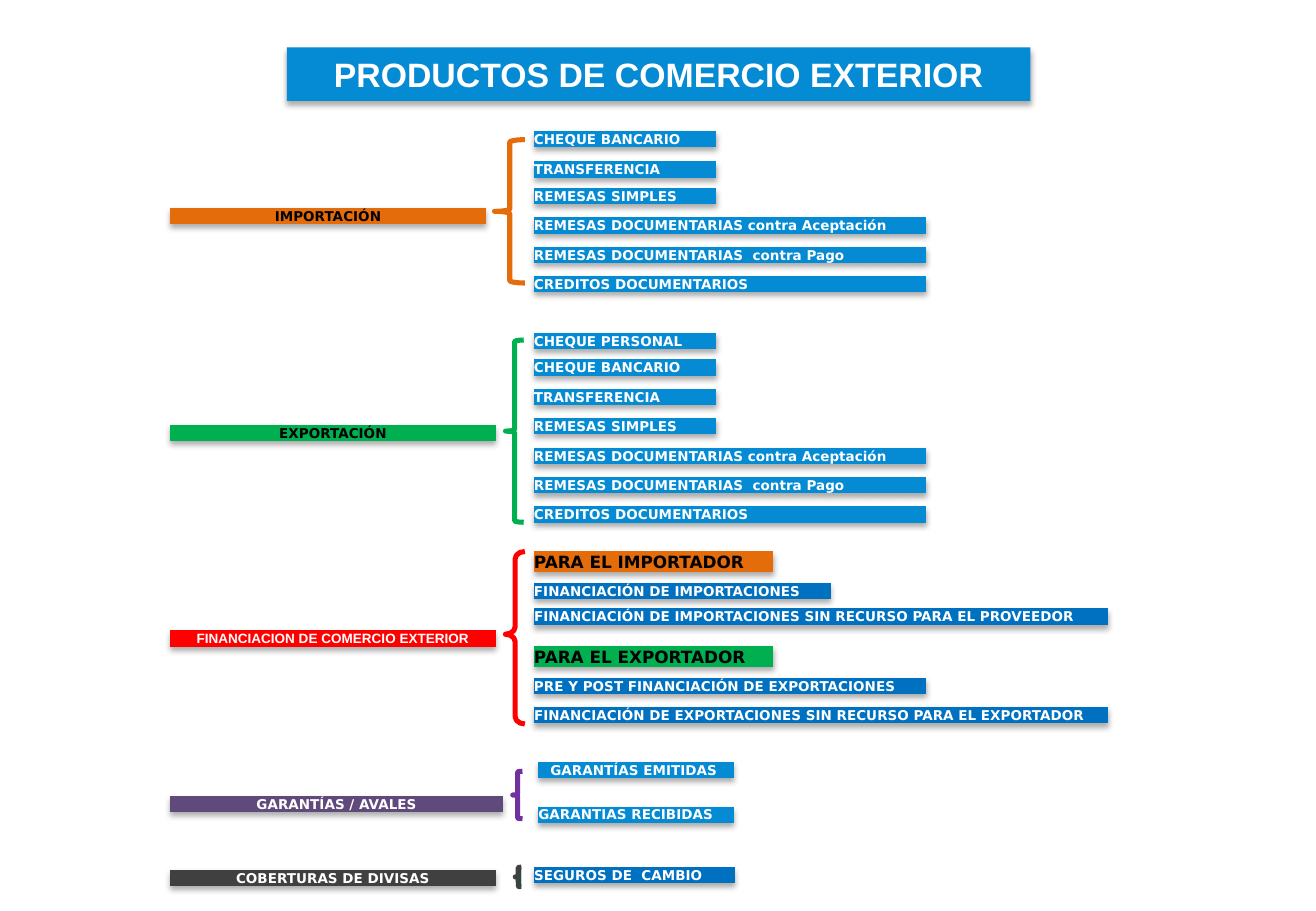
from lxml import etree
from pptx import Presentation, util as u
from pptx.dml.color import RGBColor
from pptx.enum import shapes, text
from pptx.oxml.ns import qn

BLUE, DEEP_BLUE, ORANGE, GREEN = "058AD4", "0070C0", "E46C0A", "00B050"
RED, PURPLE, VIOLET, GREY = "FF0000", "7030A0", "604A7B", "404040"
WHITE, BLACK = "FFFFFF", "000000"
LEFT, CENTER = text.PP_ALIGN.LEFT, text.PP_ALIGN.CENTER
SANS, ARIAL = "DejaVu Sans", "Arial"


def rgb(value):
    return RGBColor.from_string(value)


class ProductMap:
    """Draws on a grid whose columns and rows are a tenth of an inch."""
    CELL = u.Inches(0.1)
    BAR_HEIGHT = 1.33

    def __init__(self, slide):
        self.slide = slide

    def place(self, kind, box):
        shape = self.slide.shapes.add_shape(kind, *(round(n * self.CELL) for n in box))
        shape.shadow.inherit = False
        return shape

    def cast_shadow(self, shape):
        effects = shape._element.spPr.find(qn("a:effectLst"))
        outer = etree.SubElement(effects, qn("a:outerShdw"), blurRad=str(u.Pt(3.5)),
                                 dist=str(u.Pt(2.2)), dir="5400000", rotWithShape="0")
        tint = etree.SubElement(outer, qn("a:srgbClr"), val=BLACK)
        etree.SubElement(tint, qn("a:alpha"), val="32000")

    def label(self, shape, words, size, color, align, font):
        frame = shape.text_frame
        frame.text = words
        frame.word_wrap = True
        frame.auto_size = text.MSO_AUTO_SIZE.SHAPE_TO_FIT_TEXT
        line = frame.paragraphs[0]
        line.alignment = align
        for run in line.runs:
            run.font.name, run.font.size, run.font.bold = font, u.Pt(size), True
            run.font.color.rgb = rgb(color)

    def panel(self, kind, words, box, fill, size, color, align, font):
        shape = self.place(kind, box)
        shape.fill.solid()
        shape.fill.fore_color.rgb = rgb(fill)
        shape.line.fill.background()
        self.cast_shadow(shape)
        self.label(shape, words, size, color, align, font)
        return shape.text_frame

    def title(self, words, box):
        frame = self.panel(shapes.MSO_SHAPE.RECTANGLE, words, box, BLUE, 20, WHITE, CENTER, ARIAL)
        frame.vertical_anchor = text.MSO_ANCHOR.TOP

    def bar(self, words, left, top, width, fill, color=WHITE, align=LEFT, size=8,
            height=BAR_HEIGHT, font=SANS):
        frame = self.panel(shapes.MSO_SHAPE.ACTION_BUTTON_CUSTOM, words,
                           (left, top, width, height), fill, size, color, align, font)
        frame.margin_left = frame.margin_right = frame.margin_top = frame.margin_bottom = 0
        frame.vertical_anchor = text.MSO_ANCHOR.MIDDLE

    def category(self, words, top, width, fill, color=WHITE, font=SANS):
        self.bar(words, 14, top, width, fill, color, CENTER, font=font)

    def brace(self, box, color, fill=None, bends=()):
        shape = self.place(shapes.MSO_SHAPE.LEFT_BRACE, box)
        if fill:
            shape.fill.solid()
            shape.fill.fore_color.rgb = rgb(fill)
        else:
            shape.fill.background()
        shape.line.color.rgb = rgb(color)
        shape.line.width = u.Pt(3)
        for index, bend in enumerate(bends):
            shape.adjustments[index] = bend

    def products(self, items, tops, fill, left=43.95):
        for (words, width), top in zip(items, tops):
            self.bar(words, left, top, width, fill)


def main():
    deck = Presentation()
    deck.slide_width, deck.slide_height = u.Inches(10.83), u.Inches(7.5)
    page = ProductMap(deck.slides.add_slide(deck.slide_layouts[6]))

    page.title("PRODUCTOS DE COMERCIO EXTERIOR", (23.6, 3.9, 61.2, 4.4))

    # Products shared by imports and exports
    trade_products = [
        ("CHEQUE BANCARIO", 15), ("TRANSFERENCIA", 15), ("REMESAS SIMPLES", 15),
        ("REMESAS DOCUMENTARIAS contra Aceptación", 32.3),
        ("REMESAS DOCUMENTARIAS  contra Pago", 32.3),
        ("CREDITOS DOCUMENTARIOS", 32.3),
    ]

    # Imports
    page.category("IMPORTACIÓN", 17.1, 26, ORANGE, BLACK)
    page.brace((40.7, 11.5, 2.5, 11.8), ORANGE)
    page.products(trade_products, (10.8, 13.3, 15.5, 17.9, 20.3, 22.7), BLUE)

    # Exports
    page.category("EXPORTACIÓN", 35, 26.8, GREEN, BLACK)
    page.brace((41.6, 28, 1.5, 15), GREEN)
    page.products([("CHEQUE PERSONAL", 15)] + trade_products,
                  (27.4, 29.6, 32, 34.4, 36.9, 39.3, 41.7), BLUE)

    # Trade finance
    page.category("FINANCIACION DE COMERCIO EXTERIOR", 51.9, 26.8, RED, font=ARIAL)
    page.brace((41.6, 45.4, 1.6, 14.2), RED, bends=(0.38, 0.48))
    finance = [
        ("PARA EL IMPORTADOR", 45.4, ORANGE, (48, 50.1), [
            ("FINANCIACIÓN DE IMPORTACIONES", 24.4),
            ("FINANCIACIÓN DE IMPORTACIONES SIN RECURSO PARA EL PROVEEDOR", 47.2)]),
        ("PARA EL EXPORTADOR", 53.2, GREEN, (55.8, 58.2), [
            ("PRE Y POST FINANCIACIÓN DE EXPORTACIONES", 32.3),
            ("FINANCIACIÓN DE EXPORTACIONES SIN RECURSO PARA EL EXPORTADOR", 47.2)]),
    ]
    for client, client_top, fill, tops, loans in finance:
        page.bar(client, 43.95, client_top, 19.7, fill, BLACK, size=10, height=1.7)
        page.products(loans, tops, DEEP_BLUE)

    # Guarantees
    page.category("GARANTÍAS / AVALES", 65.5, 27.4, VIOLET)
    page.brace((42.2, 63.5, 0.8, 3.9), PURPLE)
    page.bar("GARANTÍAS EMITIDAS ", 44.3, 62.7, 16.1, BLUE, align=CENTER)
    page.bar("GARANTIAS RECIBIDAS", 44.3, 66.4, 16.1, BLUE)

    # Currency cover
    page.category("COBERTURAS DE DIVISAS", 71.6, 26.8, GREY)
    page.brace((42.4, 71.4, 0.5, 1.6), GREY, fill=GREEN)
    page.products([("SEGUROS DE  CAMBIO", 16.5)], (71.4,), DEEP_BLUE)

    deck.save("out.pptx")


if __name__ == "__main__":
    main()
